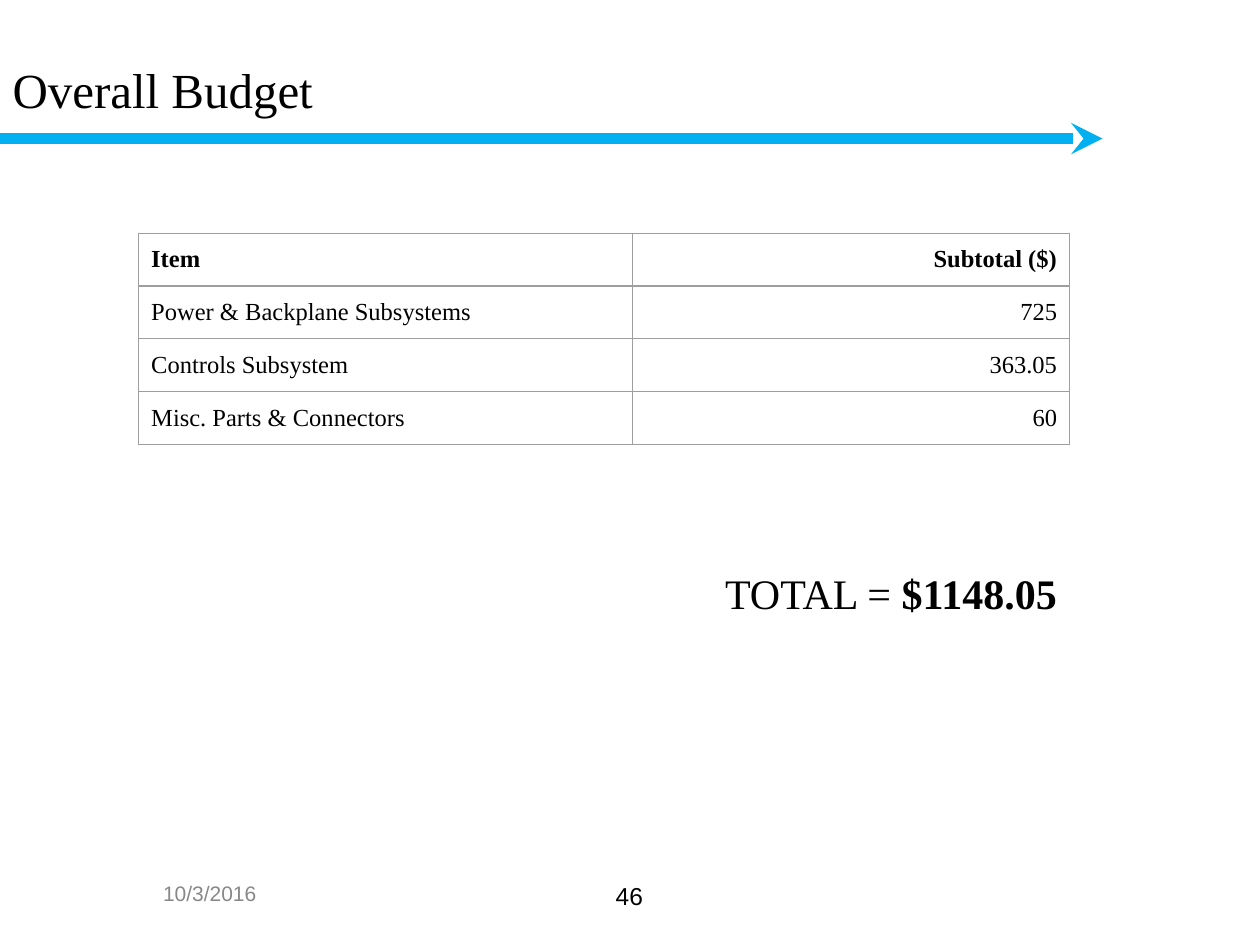
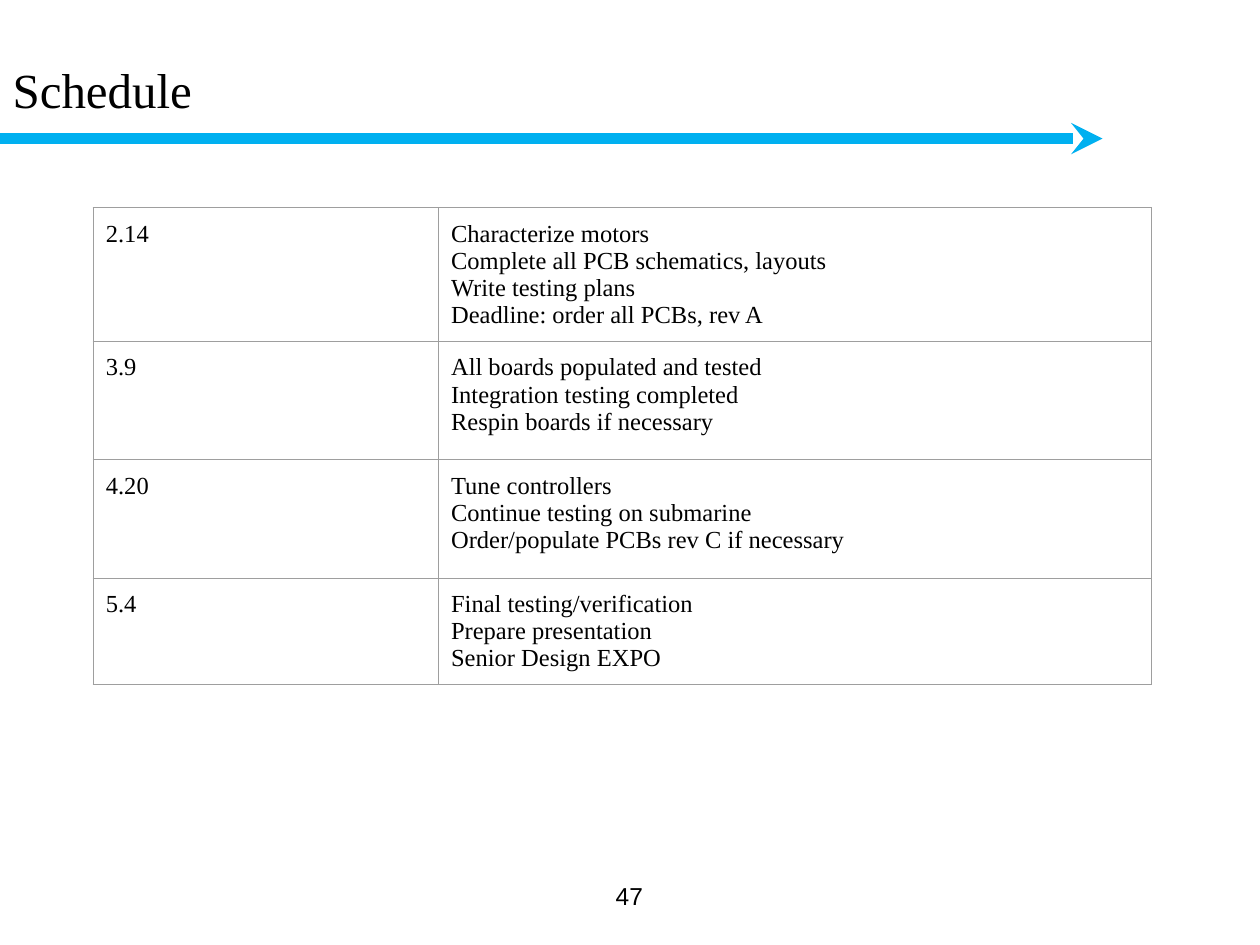
from lxml import etree
from pptx import Presentation
from pptx import util as u
from pptx.dml import color
from pptx.enum import shapes, text
from pptx.oxml import ns

HUES = {"ink": "000000", "band": "00B0F0", "date": "888888", "grid": "9E9E9E"}
SERIF, SANS = "Times New Roman", "Arial"
LEFT, MID, RIGHT = text.PP_ALIGN.LEFT, text.PP_ALIGN.CENTER, text.PP_ALIGN.RIGHT
TOP, HALF = text.MSO_ANCHOR.TOP, text.MSO_ANCHOR.MIDDLE


def hue(name):
    return color.RGBColor.from_string(HUES[name])


class Deck:
    def __init__(self):
        self.prs = Presentation()
        self.prs.slide_width = u.Inches(10)
        self.prs.slide_height = u.Inches(7.5)
        self.slide = None

    def page(self, title, number):
        """Start a slide with its arrow band, title and number."""
        self.slide = self.prs.slides.add_slide(self.prs.slide_layouts[5])
        self.band()
        box = self.slide.shapes.title
        box.left, box.top = u.Inches(0), u.Inches(0.08)
        box.width, box.height = u.Inches(9), u.Inches(1.25)
        self.frame(box.text_frame, HALF)
        self.lines(box.text_frame, [[(title, False)]], 28)
        self.label(3.83, 6.94, 2.33, 0.52, [(number, False)], 14, MID, SANS)

    def band(self):
        line = self.slide.shapes.add_connector(
            shapes.MSO_CONNECTOR.STRAIGHT,
            u.Inches(0), u.Inches(1.1), u.Inches(8.75), u.Inches(1.1))
        line.line.color.rgb = hue("band")
        line.line.width = u.Pt(6)
        etree.SubElement(line.line._ln, ns.qn("a:tailEnd"), type="stealth")
        etree.SubElement(line._element.spPr, ns.qn("a:effectLst"))

    def frame(self, frame, anchor=TOP, pad=0.05):
        frame.word_wrap = True
        frame.auto_size = text.MSO_AUTO_SIZE.NONE
        frame.vertical_anchor = anchor
        frame.margin_left = frame.margin_right = u.Inches(0.1)
        frame.margin_top = frame.margin_bottom = u.Inches(pad)

    def lines(self, frame, rows, size, align=LEFT, font=SERIF, ink="ink"):
        """Write paragraphs, each a list of (words, bold) runs."""
        for i, runs in enumerate(rows):
            para = frame.add_paragraph() if i else frame.paragraphs[0]
            para.alignment = align
            for words, bold in runs:
                run = para.add_run()
                run.text = words
                run.font.name, run.font.size = font, u.Pt(size)
                run.font.bold = bold
                run.font.color.rgb = hue(ink)

    def label(self, x, y, w, h, runs, size, align, font=SERIF, ink="ink",
              anchor=TOP, pad=0.05):
        box = self.slide.shapes.add_textbox(
            u.Inches(x), u.Inches(y), u.Inches(w), u.Inches(h))
        self.frame(box.text_frame, anchor, pad)
        self.lines(box.text_frame, [runs], size, align, font, ink)

    def table(self, x, y, cols, rows, data, aligns, head=False):
        """Draw a ruled table; a line break in a cell starts a paragraph."""
        grid = self.slide.shapes.add_table(
            len(rows), len(cols), u.Inches(x), u.Inches(y),
            u.Inches(sum(cols)), u.Inches(sum(rows))).table
        grid.first_row = head
        grid.horz_banding = False
        for col, w in zip(grid.columns, cols):
            col.width = u.Inches(w)
        for row, h in zip(grid.rows, rows):
            row.height = u.Inches(h)
        for r, items in enumerate(data):
            for c, words in enumerate(items):
                cell = grid.cell(r, c)
                cell.margin_left = cell.margin_right = u.Inches(0.1)
                cell.margin_top = cell.margin_bottom = u.Inches(0.1)
                self.rule(cell)
                cell.fill.background()
                bold = head and r == 0
                paras = [[(part, bold)] for part in words.split("\n")]
                self.lines(cell.text_frame, paras, 14, aligns[c])

    def rule(self, cell):
        props = cell._tc.get_or_add_tcPr()
        for side in ("lnL", "lnR", "lnT", "lnB"):
            edge = etree.SubElement(props, ns.qn("a:" + side), w=str(u.Pt(0.75)))
            fill = etree.SubElement(edge, ns.qn("a:solidFill"))
            etree.SubElement(fill, ns.qn("a:srgbClr"), val=HUES["grid"])


COSTS = [
    ("Item", "Subtotal ($)"),
    ("Power & Backplane Subsystems", "725"),
    ("Controls Subsystem", "363.05"),
    ("Misc. Parts & Connectors", "60"),
]
DATES = [
    ("2.14", "Characterize motors\nComplete all PCB schematics, layouts\n"
             "Write testing plans\nDeadline: order all PCBs, rev A"),
    ("3.9", "All boards populated and tested\nIntegration testing completed\n"
            "Respin boards if necessary"),
    ("4.20", "Tune controllers\nContinue testing on submarine\n"
             "Order/populate PCBs rev C if necessary"),
    ("5.4", "Final testing/verification\nPrepare presentation\n"
            "Senior Design EXPO"),
]


def main():
    deck = Deck()

    # Budget
    deck.page("Overall Budget", "46")
    deck.label(0.5, 6.83, 2.33, 0.52, [("10/3/2016", False)], 12, MID, SANS,
               "date", HALF)
    deck.table(1.1, 1.85, [3.92, 3.47], [0.42] * len(COSTS), COSTS,
               [LEFT, RIGHT], head=True)
    deck.label(3.83, 4.4, 4.74, 0.58,
               [("TOTAL = ", False), ("$1148.05 ", True)], 24, RIGHT, pad=0.1)

    # Schedule
    deck.page("Schedule", "47")
    deck.table(0.74, 1.65, [2.74, 5.66], [1.06, 0.94, 0.94, 0.84], DATES,
               [LEFT, LEFT])

    deck.prs.save("out.pptx")


if __name__ == "__main__":
    main()
